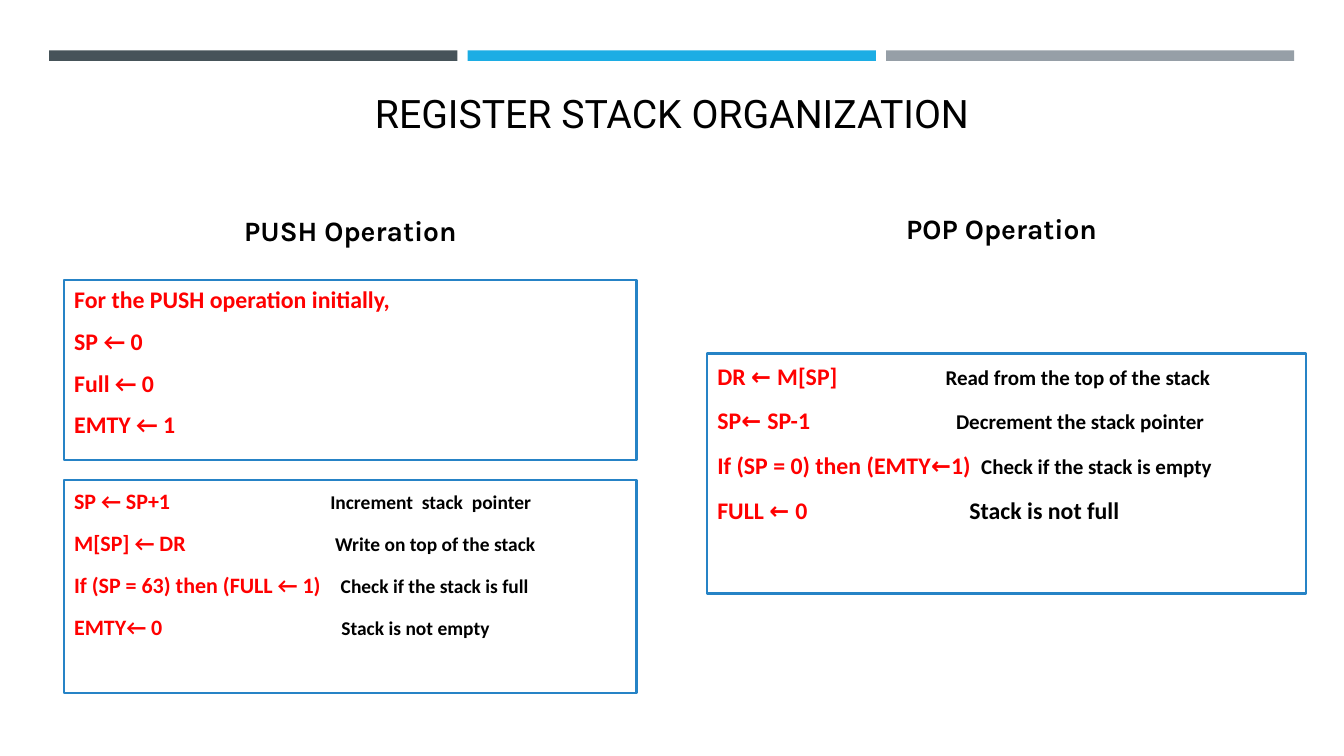
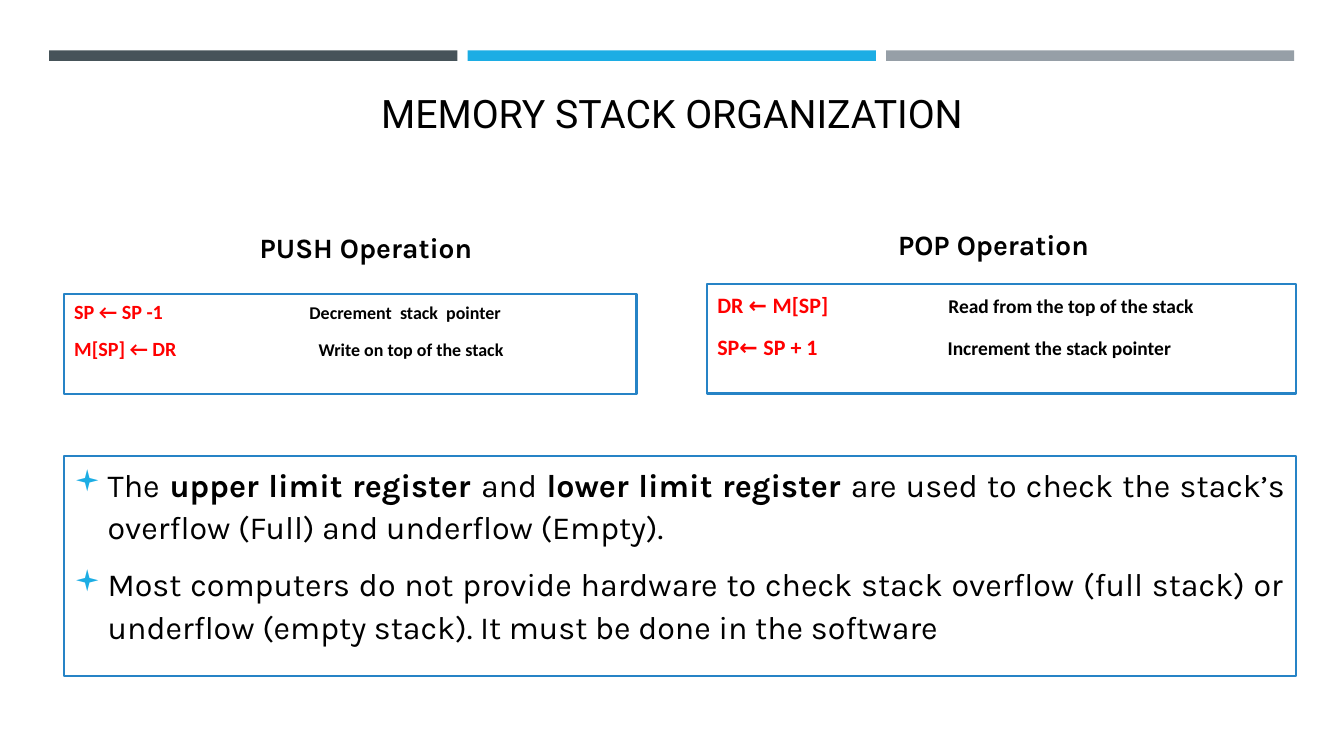
from lxml.etree import SubElement
from pptx import Presentation
from pptx.dml.color import RGBColor
from pptx.enum.shapes import MSO_SHAPE
from pptx.enum.text import MSO_ANCHOR, MSO_AUTO_SIZE, PP_ALIGN
from pptx.oxml.ns import qn
from pptx.util import Pt

COLORS = {
    "slate": "465359",
    "sky": "1CADE4",
    "gray": "969FA7",
    "edge": "2683C6",
    "paper": "FFFFFF",
    "ink": "000000",
    "code": "FF0000",
}
SANS, HEAD, CODE = "Karla", "Roboto", "Calibri"
LEFT, RIGHT, WIDE = 45.8, 505.2, 409


def color(name):
    return RGBColor.from_string(COLORS[name])


def place(shape, box):
    shape.left, shape.top, shape.width, shape.height = map(Pt, box)


def add_run(para, text, size, font, tint="ink", bold=False):
    run = para.add_run()
    run.text = text
    run.font.size = Pt(size)
    run.font.name = font
    run.font.bold = bold
    run.font.color.rgb = color(tint)


def style_para(para, size, lead, align):
    para.alignment = align
    para.line_spacing = lead
    para.space_before = Pt(round(size * 0.2, 2))
    para.space_after = Pt(6)


def set_bullet(para, mark=None, indent=0):
    props = para._p.get_or_add_pPr()
    props.set("marL", str(Pt(indent)))
    props.set("indent", str(-Pt(indent)))
    if mark is None:
        SubElement(props, qn("a:buNone"))
        return
    tint = SubElement(props, qn("a:buClr"))
    SubElement(tint, qn("a:srgbClr"), val=COLORS["sky"])
    SubElement(props, qn("a:buSzPct"), val="92000")
    SubElement(props, qn("a:buFont"), typeface="Wingdings", charset="2")
    SubElement(props, qn("a:buChar"), char=mark)


def set_frame(shape, anchor):
    frame = shape.text_frame
    frame.word_wrap = True
    frame.auto_size = MSO_AUTO_SIZE.NONE
    frame.vertical_anchor = anchor
    return frame


def add_paras(frame, count):
    return [frame.paragraphs[0]] + [frame.add_paragraph() for _ in range(count - 1)]


def add_rect(slide, box, fill):
    rect = slide.shapes.add_shape(MSO_SHAPE.RECTANGLE, *map(Pt, box))
    rect.shadow.inherit = False
    rect.fill.solid()
    rect.fill.fore_color.rgb = color(fill)
    rect.line.fill.background()
    return rect


def set_panel(shape, box):
    place(shape, box)
    shape.fill.solid()
    shape.fill.fore_color.rgb = color("paper")
    shape.line.color.rgb = color("edge")
    shape.line.width = Pt(1.75)
    return set_frame(shape, MSO_ANCHOR.TOP)


def fill_title(slide, text):
    title = slide.shapes.title
    place(title, (LEFT, 57.2, 868.3, 44))
    para = set_frame(title, MSO_ANCHOR.BOTTOM).paragraphs[0]
    para.alignment = PP_ALIGN.CENTER
    add_run(para, text, 28, HEAD)


def fill_head(shape, spot, text, lead):
    place(shape, (*spot, WIDE, 44))
    para = set_frame(shape, MSO_ANCHOR.MIDDLE).paragraphs[0]
    style_para(para, 20, lead, PP_ALIGN.CENTER)
    set_bullet(para)
    add_run(para, text, 20, SANS, bold=True)


def fill_code(shape, box, rows, size, small, lead=1.1, arrow=CODE):
    frame = set_panel(shape, box)
    for para, (code, *note) in zip(add_paras(frame, len(rows)), rows):
        style_para(para, size, lead, PP_ALIGN.LEFT)
        set_bullet(para, indent=note[1] if note else 0)
        sign = "← " if "← " in code else "←"
        start, mark, end = code.partition(sign)
        for text, font in ((start, CODE), (mark, arrow), (end, CODE)):
            if text:
                add_run(para, text, size, font, "code", True)
        if note:
            text, _, *own = note
            add_run(para, "\t" + text, own[0] if own else small, CODE, bold=True)


def fill_notes(shape, box, notes):
    frame = set_panel(shape, box)
    for para, parts in zip(add_paras(frame, len(notes)), notes):
        style_para(para, 23, 1.1, PP_ALIGN.JUSTIFY)
        set_bullet(para, "▪", 24)
        for num, text in enumerate(parts):
            add_run(para, text, 23, SANS, bold=num % 2 == 1)


def add_bands(slide, layout):
    for num, tint in enumerate(("slate", "sky", "gray")):
        band = add_rect(slide, (35.1 + num * 298.9, 36, 291.6, 7.5), tint)
        layout.shapes.element.insert(2 + num, band._element)


def add_slide(deck, layout, title, push, pop):
    slide = deck.slides.add_slide(layout)
    fill_title(slide, title)
    parts = slide.placeholders
    fill_head(parts[1], push, "PUSH Operation", 1.1)
    fill_head(parts[3], pop, "POP Operation", 1)
    return slide, parts[2], parts[4]


def add_register(deck, layout):
    slide, push, pop = add_slide(
        deck, layout, "REGISTER STACK ORGANIZATION", (LEFT, 141), (511, 141)
    )
    start = [
        ("For the PUSH operation initially,",),
        ("SP ← 0",),
        ("Full ← 0",),
        ("EMTY ← 1",),
    ]
    fill_code(push, (LEFT, 199.8, WIDE, 128.9), start, 17, 15, lead=1)
    pops = [
        ("DR ← M[SP]", "Read from the top of the stack", 163),
        ("SP← SP-1", "Decrement the stack pointer", 170.5),
        ("If (SP = 0) then (EMTY←1)", "Check if the stack is empty", 188.5),
        ("FULL ← 0", "Stack is not full", 180, 17),
    ]
    fill_code(pop, (RIGHT, 252.6, 427.7, 171.4), pops, 17, 15, arrow=SANS)
    steps = [
        ("SP ← SP+1", "Increment  stack  pointer", 183),
        ("M[SP] ← DR", "Write on top of the stack", 186.5),
        ("If (SP = 63) then (FULL ← 1)", "Check if the stack is full", 190.5),
        ("EMTY← 0", "Stack is not empty", 191),
    ]
    box = (LEFT, 343, WIDE, 151.9)
    fill_code(add_rect(slide, box, "paper"), box, steps, 15.7, 13.9)
    return slide


def add_memory(deck, layout):
    slide, push, pop = add_slide(
        deck, layout, "MEMORY STACK ORGANIZATION", (56.9, 153.4), (RIGHT, 152.6)
    )
    steps = [
        ("SP ← SP -1", "Decrement  stack  pointer", 168),
        ("M[SP] ← DR", "Write on top of the stack", 174.5),
    ]
    fill_code(push, (LEFT, 210.2, WIDE, 71.3), steps, 14.4, 12.8, lead=1)
    pops = [
        ("DR ← M[SP]", "Read from the top of the stack", 165),
        ("SP← SP + 1", "Increment the stack pointer", 164.5),
    ]
    fill_code(pop, (RIGHT, 202.7, 420.5, 78.5), pops, 15.7, 13.9, arrow=SANS)
    notes = [
        (
            "The",
            " upper limit register ",
            "and ",
            "lower limit register ",
            "are used to check the stack’s overflow (Full) and underflow (Empty).",
        ),
        (
            "Most computers do not provide hardware to check stack overflow "
            "(full stack) or underflow (empty stack). "
            "It must be done in the software",
        ),
    ]
    box = (LEFT, 325.8, 879.8, 157)
    fill_notes(add_rect(slide, box, "paper"), box, notes)


def main():
    deck = Presentation()
    deck.slide_width, deck.slide_height = Pt(960), Pt(540)
    layout = deck.slide_layouts[4]
    first = add_register(deck, layout)
    add_bands(first, layout)
    add_memory(deck, layout)
    deck.save("out.pptx")


if __name__ == "__main__":
    main()
